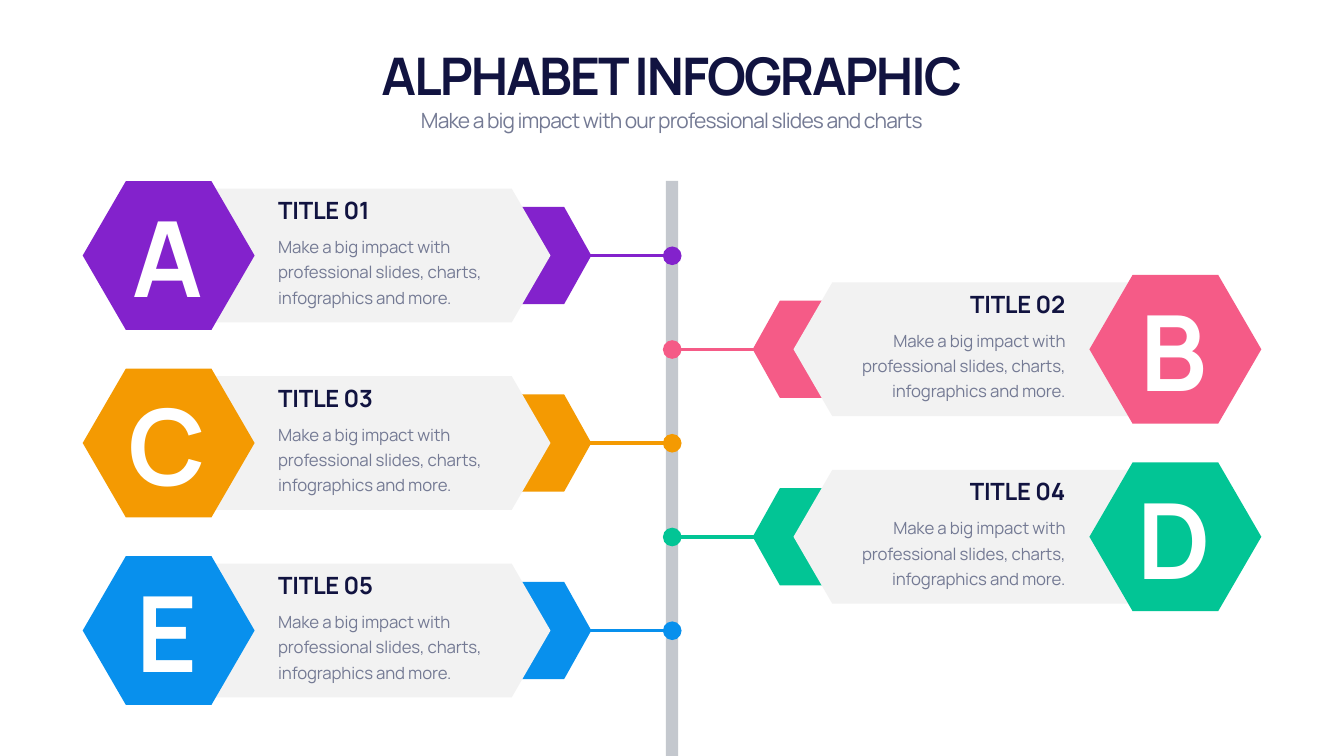
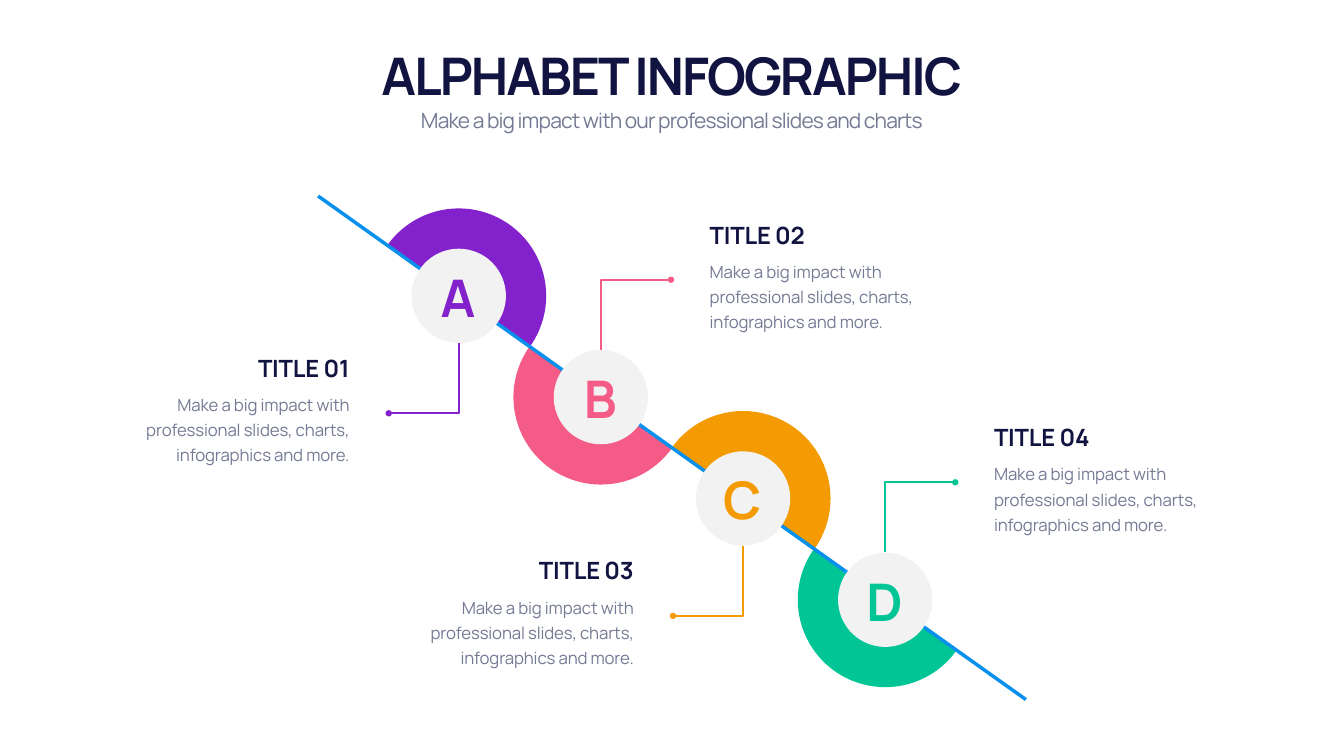
from math import atan2, degrees

from lxml.etree import SubElement
from pptx import Presentation
from pptx.dml.color import RGBColor
from pptx.enum.shapes import MSO_CONNECTOR, MSO_SHAPE
from pptx.enum.text import MSO_ANCHOR, MSO_AUTO_SIZE, PP_ALIGN
from pptx.oxml.ns import qn
from pptx.util import Inches, Pt


class Theme:
    font = "Manrope"
    navy, slate = "111340", "747A94"
    white, pale, post = "FFFFFF", "F2F2F2", "C4C8CE"
    hues = ["8322CC", "F55B87", "F49A02", "02C595", "0890ED"]
    huge, head, title, sub, body = 150, 74, 34, 30, 24
    bar, thin = 5, 3


WIDTH, MID = 26.66, 13.33
BODY = "Make a big impact with professional slides, charts, infographics and more."
LEFT, CENTER, RIGHT = PP_ALIGN.LEFT, PP_ALIGN.CENTER, PP_ALIGN.RIGHT
TOP, MIDDLE, BOTTOM = MSO_ANCHOR.TOP, MSO_ANCHOR.MIDDLE, MSO_ANCHOR.BOTTOM


def write(slide, text, *, box, size, color, align=LEFT, anchor=TOP,
          bold=False, track=0, lead=None):
    """Add a text box; box is left, top, width, height in inches."""
    frame = slide.shapes.add_textbox(*map(Inches, box)).text_frame
    frame.word_wrap = True
    frame.auto_size = MSO_AUTO_SIZE.SHAPE_TO_FIT_TEXT
    frame.vertical_anchor = anchor
    para = frame.paragraphs[0]
    para.alignment = align
    if lead:
        para.line_spacing = Pt(lead)
    run = para.add_run()
    run.text = text
    run.font.name = Theme.font
    run.font.size = Pt(size)
    run.font.bold = bold
    run.font.color.rgb = RGBColor.from_string(color)
    run._r.get_or_add_rPr().set("spc", str(round(track * 100)))


def paint(shape, color, line=None):
    """Fill a shape, or draw only its line when a width is given."""
    rgb = RGBColor.from_string(color)
    if line:
        shape.line.color.rgb = rgb
        shape.line.width = Pt(line)
    else:
        shape.fill.solid()
        shape.fill.fore_color.rgb = rgb
        shape.line.fill.background()
    if hasattr(shape, "shadow"):
        shape.shadow.inherit = False
    else:
        SubElement(shape._element.spPr, qn("a:effectLst"))


deck = Presentation()
deck.slide_width, deck.slide_height = Inches(WIDTH), Inches(15)
slides = [deck.slides.add_slide(deck.slide_layouts[6]) for _ in range(2)]
rows, steps = slides

# Shared heading
for slide in slides:
    write(slide, "ALPHABET INFOGRAPHIC", box=(1.66, 0.76, 23.33, 1.38),
          size=Theme.head, color=Theme.navy, align=CENTER, anchor=BOTTOM,
          bold=True, track=-2.9, lead=94)
    write(slide, "Make a big impact with our professional slides and charts",
          box=(1.66, 2.01, 23.33, 0.66), size=Theme.sub, color=Theme.slate,
          align=CENTER, track=-1.2, lead=42)

captions = []  # slide, number, left, top, width, alignment

# Slide 1: central post
post = rows.shapes.add_shape(
    MSO_SHAPE.RECTANGLE, Inches(13.21), Inches(3.59), Inches(0.24), Inches(11.41))
paint(post, Theme.post)

# Slide 1: banners on alternating sides, the right ones mirrored
parts = [  # kind, left, width, height, point, color (None = row hue)
    (MSO_SHAPE.PENTAGON, 9.87, 1.86, 1.93, 0.29, None),
    (MSO_SHAPE.PENTAGON, 3.35, 7.57, 2.65, 0.29, Theme.pale),
    (MSO_SHAPE.HEXAGON, 1.64, 3.41, 2.95, 0.29, None),
]
for i, (letter, hue) in enumerate(zip("ABCDE", Theme.hues)):
    y = 5.07 + 1.86 * i
    flip = i % 2 == 1
    for kind, x, w, h, point, color in parts:
        left = WIDTH - x - w if flip else x
        part = rows.shapes.add_shape(
            kind, Inches(left), Inches(y - h / 2), Inches(w), Inches(h))
        part.adjustments[0] = point
        part.rotation = 180 if flip else 0
        paint(part, color or hue)

    dot = rows.shapes.add_shape(
        MSO_SHAPE.OVAL, Inches(MID - 0.18), Inches(y - 0.18), Inches(0.37), Inches(0.37))
    paint(dot, hue)
    reach = 1.7 if flip else -1.7
    link = rows.shapes.add_connector(
        MSO_CONNECTOR.STRAIGHT, Inches(MID), Inches(y), Inches(MID + reach), Inches(y))
    paint(link, hue, line=Theme.bar)

    write(rows, letter, box=(21.95 if flip else 1.99, y - 1.31, 2.67, 2.63),
          size=Theme.huge, color=Theme.white, align=CENTER, anchor=MIDDLE,
          bold=True, track=-2.9)
    captions.append((rows, i + 1, 16.4 if flip else 5.42, y - 1.24, 4.83,
                     RIGHT if flip else LEFT))

# Slide 2: half discs down the diagonal, above and below it in turn
DX, DY, OUTER, INNER = 2.82, 2.01, 3.47, 1.87
spots = [(9.1 + DX * i, 5.87 + DY * i) for i in range(4)]
tilt = degrees(atan2(DY, DX))
for i, (x, y) in enumerate(spots):
    half = steps.shapes.add_shape(
        MSO_SHAPE.CHORD, Inches(x - OUTER / 2), Inches(y - OUTER / 2),
        Inches(OUTER), Inches(OUTER))
    ends = (tilt, tilt + 180) if i % 2 else (tilt + 180, tilt)
    for k, angle in enumerate(ends):
        half.adjustments[k] = angle * 0.6
    paint(half, Theme.hues[i])

slope = steps.shapes.add_connector(
    MSO_CONNECTOR.STRAIGHT, Inches(6.31), Inches(3.89), Inches(20.35), Inches(13.88))
paint(slope, Theme.hues[4], line=Theme.bar)

# Slide 2: bent leaders, discs and letters
for i, (x, y) in enumerate(spots):
    hue = Theme.hues[i]
    up = i % 2 == 1
    side = 1 if up else -1
    bend = Inches(y - side * 2.33)
    pen = steps.shapes.build_freeform(Inches(x), Inches(y - side * 0.94))
    pen.add_line_segments(
        [(Inches(x), bend), (Inches(x + side * 1.39), bend)], close=False)
    leader = pen.convert_to_shape()
    leader.fill.background()
    paint(leader, hue, line=Theme.thin)
    SubElement(leader.line._get_or_add_ln(), qn("a:tailEnd"), type="oval")

    disc = steps.shapes.add_shape(
        MSO_SHAPE.OVAL, Inches(x - INNER / 2), Inches(y - INNER / 2),
        Inches(INNER), Inches(INNER))
    paint(disc, Theme.pale)
    write(steps, "ABCD"[i], box=(x - 0.68, y - 0.66, 1.33, 1.35),
          size=Theme.head, color=hue, align=CENTER, anchor=MIDDLE,
          bold=True, track=-2.9)
    captions.append((steps, i + 1, x + (2.06 if up else -6.85),
                     y + (-3.56 if up else 1.09), 4.78, LEFT if up else RIGHT))

# Captions on both slides
for slide, num, x, y, w, align in captions:
    write(slide, f"TITLE {num:02}", box=(x, y, w, 0.67), size=Theme.title,
          color=Theme.navy, align=align, anchor=BOTTOM, bold=True, track=-0.3)
    write(slide, BODY, box=(x, y + 0.72, w, 1.58), size=Theme.body,
          color=Theme.slate, align=align, track=-0.2, lead=36)

deck.save("out.pptx")
